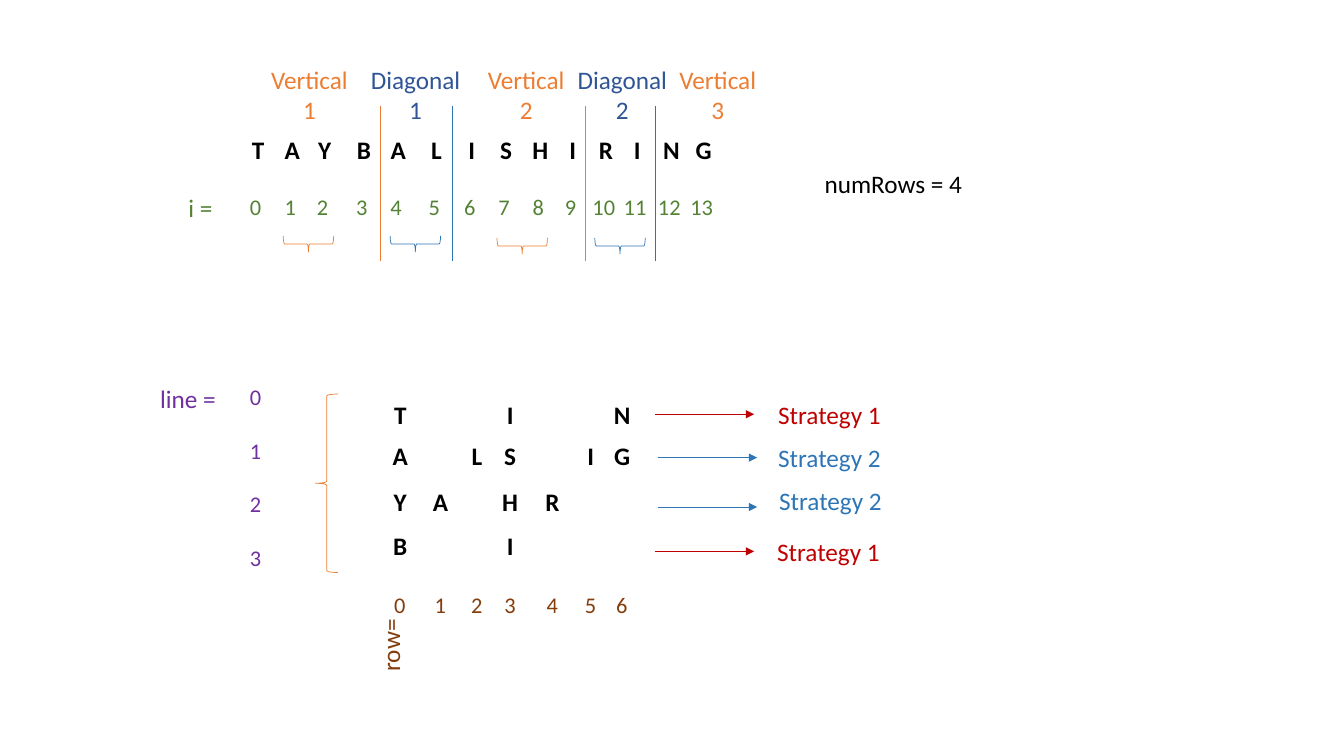
from lxml.etree import SubElement
from pptx import Presentation
from pptx.dml.color import RGBColor
from pptx.enum.shapes import MSO_CONNECTOR as Connector, MSO_SHAPE as Shape
from pptx.enum.text import MSO_AUTO_SIZE as AutoSize, PP_ALIGN as Align
from pptx.oxml.ns import qn
from pptx.util import Inches, Pt

# One grid unit is an inch: 13.33 columns by 7.5 rows.
WIDTH, HEIGHT = 13.33, 7.5
ORANGE, BLUE, NAVY, RED = "ED7D31", "2E75B6", "2F5597", "C00000"
GREEN, PURPLE, BROWN, BLACK = "548235", "7030A0", "843C0B", "000000"

WORD = "TAYBALISHIRING"
NUM_ROWS = 4
LETTER_CENTRES = [2.56, 2.9, 3.22, 3.61, 3.95, 4.33, 4.68,
                  5.02, 5.36, 5.68, 6.01, 6.32, 6.66, 6.98]
ZIGZAG_CENTRES = [3.97, 4.37, 4.73, 5.06, 5.48, 5.86, 6.17]
ZIGZAG_TOPS = [3.91, 4.32, 4.78, 5.21]
LINE_HEIGHT = 0.4


def colour(value):
    return RGBColor.from_string(value)


def add_text(page, text, left, top, width, height=LINE_HEIGHT, *, size=18,
             fill=BLACK, bold=False, aligns=(Align.LEFT,), wrap=False, vert=None):
    """Add a text box; aligns holds one alignment for each line of text."""
    box = page.shapes.add_textbox(*map(Inches, (left, top, width, height)))
    frame = box.text_frame
    frame.word_wrap = wrap
    frame.auto_size = AutoSize.SHAPE_TO_FIT_TEXT
    if vert:
        frame._txBody.bodyPr.set("vert", vert)
    for index, (line, align) in enumerate(zip(text.split("\n"), aligns)):
        para = frame.add_paragraph() if index else frame.paragraphs[0]
        para.alignment = align
        span = para.add_run()
        span.text = line
        span.font.name = "Calibri"
        span.font.size = Pt(size)
        span.font.bold = bold
        span.font.color.rgb = colour(fill)
    return box


def add_letter(page, letter, centre, top):
    width = 0.36
    add_text(page, letter, centre - width / 2, top, width,
             bold=True, aligns=[Align.CENTER])


def add_indexes(page, centres, top, fill):
    """Number the given centres from 0 in one line of text with centred tabs."""
    inset, half_digit = 0.1, 0.06
    start = centres[0] - half_digit
    text = "\t".join(str(index) for index in range(len(centres)))
    box = add_text(page, text, start - inset, top, centres[-1] - start + 0.4, 0.37,
                   size=16, fill=fill, wrap=True)
    stops = SubElement(box.text_frame.paragraphs[0]._p.get_or_add_pPr(), qn("a:tabLst"))
    for centre in centres[1:]:
        SubElement(stops, qn("a:tab"), pos=str(Inches(centre - start)), algn="ctr")


def add_line(page, start, end, fill, arrow=False):
    line = page.shapes.add_connector(Connector.STRAIGHT, *map(Inches, start + end))
    line.line.color.rgb = colour(fill)
    line.line.width = Pt(0.5)
    if arrow:
        SubElement(line.line._get_or_add_ln(), qn("a:tailEnd"), type="triangle")
    SubElement(line._element.spPr, qn("a:effectLst"))


def add_brace(page, left, top, width, height, fill, rotation=0):
    brace = page.shapes.add_shape(
        Shape.LEFT_BRACE, *map(Inches, (left, top, width, height)))
    brace.rotation = rotation
    brace.shadow.inherit = False
    brace.fill.background()
    brace.line.color.rgb = colour(fill)
    brace.line.width = Pt(0.5)


def zigzag_cell(index):
    """Return the column and row of a letter in the zigzag."""
    rise = NUM_ROWS - 1
    cycle, step = divmod(index, 2 * rise)
    return cycle * rise + max(0, step - rise), min(step, 2 * rise - step)


def draw_word(page):
    for name, number, left, width, fill in [
            ("Vertical", 1, 2.59, 0.97, ORANGE), ("Diagonal", 1, 3.58, 1.1, NAVY),
            ("Vertical", 2, 4.74, 0.97, ORANGE), ("Diagonal", 2, 5.63, 1.1, NAVY),
            ("Vertical", 3, 6.64, 0.97, ORANGE)]:
        add_text(page, f"{name}\n{number}", left, 0.59, width, 0.71,
                 fill=fill, aligns=[Align.LEFT, Align.CENTER])
    for letter, centre in zip(WORD, LETTER_CENTRES):
        add_letter(page, letter, centre, 1.28)
    add_text(page, "i =", 1.77, 1.86, 0.44, fill=GREEN)
    add_indexes(page, [centre - 0.02 for centre in LETTER_CENTRES], 1.87, GREEN)
    add_text(page, "numRows = 4", 8.08, 1.62, 1.58)
    for divider, brace_left, brace_top, fill in [
            (3.77, 2.98, 2.17, ORANGE), (4.49, 4.04, 2.17, BLUE),
            (5.81, 5.1, 2.19, ORANGE), (6.5, 6.07, 2.19, BLUE)]:
        add_line(page, (divider, 1.05), (divider, 2.59), fill)
        add_brace(page, brace_left, brace_top, 0.16, 0.5, fill, rotation=270)


def draw_zigzag(page):
    add_text(page, "line =", 1.49, 3.75, 0.76, fill=PURPLE)
    add_text(page, "0 1 2 3", 2.38, 3.75, 0.52, 2.32, size=16, fill=PURPLE,
             wrap=True, vert="wordArtVert")
    add_brace(page, 3.13, 3.91, 0.22, 1.77, ORANGE)
    for index, letter in enumerate(WORD):
        column, row = zigzag_cell(index)
        add_letter(page, letter, ZIGZAG_CENTRES[column], ZIGZAG_TOPS[row])
    add_indexes(page, ZIGZAG_CENTRES, 5.82, BROWN)
    add_text(page, "row=", 3.67, 6.14, 0.5, 0.62, fill=BROWN, vert="vert270")


def draw_strategies(page):
    for number, text_left, text_top, arrow_left, arrow_top, fill in [
            (1, 7.62, 3.91, 6.5, 4.11, RED), (2, 7.62, 4.34, 6.53, 4.54, BLUE),
            (2, 7.63, 4.77, 6.53, 5.03, BLUE), (1, 7.61, 5.27, 6.5, 5.47, RED)]:
        add_text(page, f"Strategy {number}", text_left, text_top, 1.23, fill=fill)
        add_line(page, (arrow_left, arrow_top), (arrow_left + 0.98, arrow_top),
                 fill, arrow=True)


def main():
    deck = Presentation()
    deck.slide_width, deck.slide_height = Inches(WIDTH), Inches(HEIGHT)
    page = deck.slides.add_slide(deck.slide_layouts[6])
    draw_word(page)
    draw_zigzag(page)
    draw_strategies(page)
    deck.save("out.pptx")


if __name__ == "__main__":
    main()
